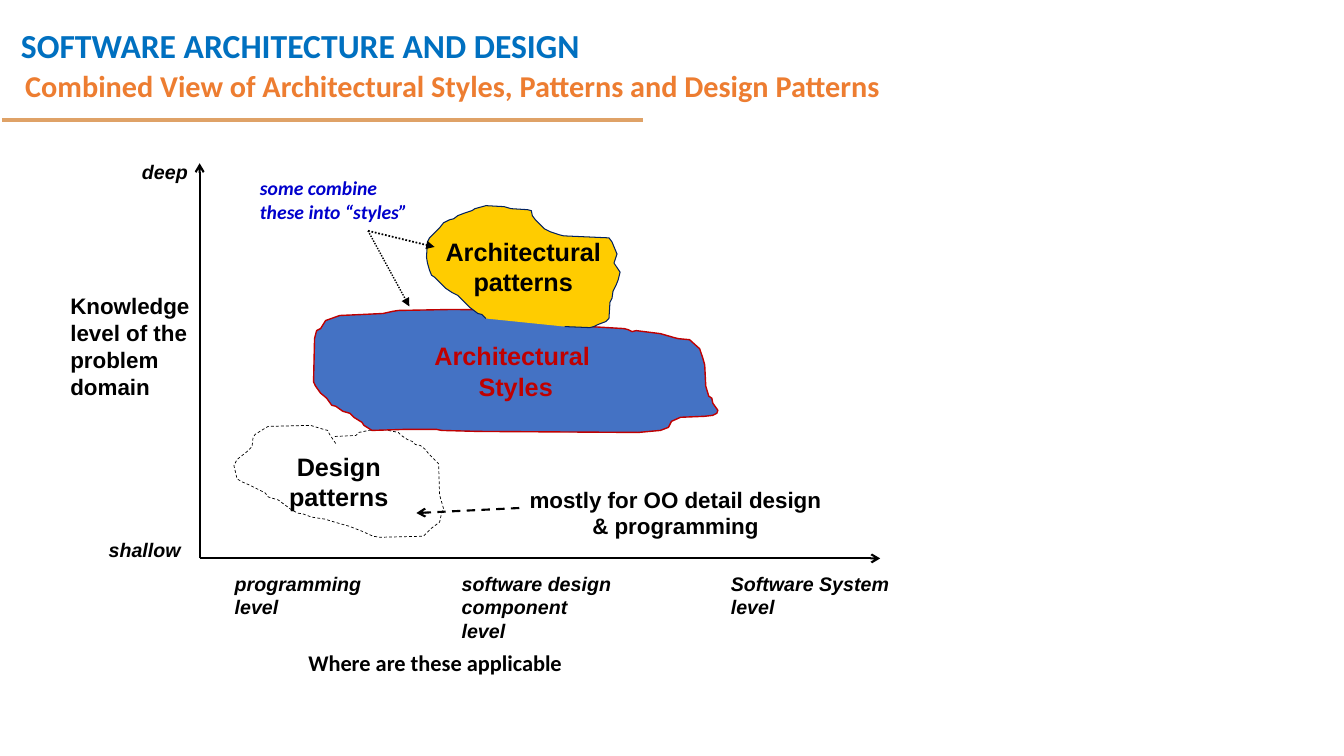
import pptx
import pptx.dml.color
import pptx.enum.dml
import pptx.enum.shapes
import pptx.enum.text
import pptx.oxml
import pptx.oxml.ns
import pptx.util

Inches = pptx.util.Inches
Align = pptx.enum.text.PP_ALIGN
Dash = pptx.enum.dml.MSO_LINE

DESIGN_OUTLINE = [
    (3.33, 4.4), (3.27, 4.31), (3.25, 4.27), (3.21, 4.26), (3.08, 4.22), (2.66, 4.23),
    (2.61, 4.26), (2.53, 4.31), (2.51, 4.34), (2.5, 4.43), (2.45, 4.48), (2.35, 4.56),
    (2.32, 4.62), (2.34, 4.7), (2.35, 4.75), (2.4, 4.78), (2.47, 4.81), (2.63, 4.89),
    (2.66, 4.93), (2.76, 4.96), (2.88, 5.05), (2.95, 5.09), (3.01, 5.1), (3.09, 5.13),
    (3.22, 5.15), (3.32, 5.18), (3.46, 5.22), (3.59, 5.27), (3.7, 5.32), (3.77, 5.33),
    (4.2, 5.32), (4.28, 5.24), (4.36, 5.18), (4.38, 5.09), (4.4, 5.05), (4.36, 4.91),
    (4.35, 4.6), (4.25, 4.5), (4.22, 4.46), (4.17, 4.42), (4.12, 4.41), (4.09, 4.38),
    (4.04, 4.36), (3.98, 4.32), (3.95, 4.29), (3.85, 4.27), (3.8, 4.26), (3.66, 4.27),
    (3.56, 4.29), (3.53, 4.32), (3.32, 4.33),
]
STYLES_OUTLINE = [
    (3.69, 4.27), (3.61, 4.22), (3.59, 4.19), (3.51, 4.14), (3.47, 4.1), (3.4, 4.08),
    (3.33, 4.03), (3.29, 4.02), (3.24, 3.95), (3.18, 3.9), (3.13, 3.83), (3.11, 3.79),
    (3.12, 3.36), (3.14, 3.28), (3.18, 3.26), (3.23, 3.18), (3.37, 3.13), (3.59, 3.12),
    (3.8, 3.11), (3.89, 3.09), (3.95, 3.08), (4.49, 3.07), (5.33, 3.08), (5.4, 3.09),
    (5.52, 3.12), (5.56, 3.14), (5.64, 3.17), (5.73, 3.21), (5.85, 3.24), (6.19, 3.26),
    (6.23, 3.27), (6.27, 3.29), (6.31, 3.28), (6.55, 3.31), (6.69, 3.35), (6.73, 3.36),
    (6.84, 3.37), (6.94, 3.46), (6.97, 3.55), (6.99, 3.62), (7, 3.83), (7.03, 3.93),
    (7.06, 3.95), (7.07, 4), (7.12, 4.07), (7.11, 4.1), (7.07, 4.12), (6.99, 4.13),
    (6.75, 4.14), (6.66, 4.18), (6.63, 4.24), (6.55, 4.27), (6.33, 4.29), (4.74, 4.28),
    (4.38, 4.27), (4.33, 4.26), (4.01, 4.26),
]
PATTERNS_OUTLINE = [
    (4.82, 3.16), (4.78, 3.12), (4.74, 3.11), (4.66, 3.05), (4.58, 2.97), (4.54, 2.93),
    (4.48, 2.9), (4.42, 2.86), (4.31, 2.75), (4.28, 2.73), (4.26, 2.68), (4.24, 2.61),
    (4.23, 2.55), (4.24, 2.4), (4.26, 2.36), (4.31, 2.31), (4.36, 2.26), (4.4, 2.21),
    (4.46, 2.18), (4.5, 2.17), (4.54, 2.14), (4.59, 2.12), (4.68, 2.09), (4.71, 2.07),
    (4.82, 2.04), (5, 2.05), (5.07, 2.07), (5.23, 2.08), (5.27, 2.09), (5.28, 2.14),
    (5.31, 2.18), (5.36, 2.23), (5.4, 2.27), (5.46, 2.3), (5.55, 2.33), (5.59, 2.34),
    (6.04, 2.36), (6.07, 2.4), (6.12, 2.52), (6.09, 2.61), (6.15, 2.7), (6.13, 2.78),
    (6.11, 2.83), (6.08, 2.89), (6.07, 2.96), (6.05, 3), (6.04, 3.16), (6.01, 3.19),
    (5.93, 3.22), (5.89, 3.24), (5.85, 3.25), (5.6, 3.24),
]


def color(value):
    """Turn a hex string into a colour."""
    return pptx.dml.color.RGBColor.from_string(value)


def write(frame, lines, size, ink="000000", font="Arial", italic=False, align=Align.LEFT):
    """Fill a text frame with bold lines, one paragraph each."""
    frame.text = "\n".join(lines)
    frame.word_wrap = True
    for para in frame.paragraphs:
        para.alignment = align
        for span in para.runs:
            span.font.name = font
            span.font.size = pptx.util.Pt(size)
            span.font.bold = True
            span.font.italic = italic
            span.font.color.rgb = color(ink)


def add_label(slide, place, lines, size, **style):
    """Add a text box at a place given in inches."""
    box = slide.shapes.add_textbox(*map(Inches, place))
    write(box.text_frame, lines, size, **style)
    return box


def add_line(slide, start, end, ink, width, dash=None, head=None):
    """Add a straight line, with an arrowhead at its end if one is named."""
    line = slide.shapes.add_connector(
        pptx.enum.shapes.MSO_CONNECTOR.STRAIGHT, *map(Inches, start + end))
    line.line.color.rgb = color(ink)
    line.line.width = pptx.util.Pt(width)
    if dash:
        line.line.dash_style = dash
    if head:
        tail = pptx.oxml.parse_xml(
            f'<a:tailEnd {pptx.oxml.ns.nsdecls("a")} type="{head}"/>')
        line.line._get_or_add_ln().append(tail)
    effects = pptx.oxml.parse_xml(f'<a:effectLst {pptx.oxml.ns.nsdecls("a")}/>')
    line._element.spPr.append(effects)


def add_blob(slide, outline, lines, ink, fill, edge, width, dash=None, close=False):
    """Add a free outline with centred text."""
    points = [(Inches(x), Inches(y)) for x, y in outline]
    builder = slide.shapes.build_freeform(*points[0])
    builder.add_line_segments(points[1:], close=close)
    blob = builder.convert_to_shape()
    blob.shadow.inherit = False
    if fill:
        blob.fill.solid()
        blob.fill.fore_color.rgb = color(fill)
    else:
        blob.fill.background()
    blob.line.color.rgb = color(edge)
    blob.line.width = pptx.util.Pt(width)
    if dash:
        blob.line.dash_style = dash
    write(blob.text_frame, lines, 18, ink=ink, align=Align.CENTER)
    blob.text_frame.vertical_anchor = pptx.enum.text.MSO_ANCHOR.MIDDLE


def add_headings(slide):
    """Add the course heading, the slide title and the rule below."""
    course = add_label(slide, (0.11, 0, 5.83, 0.64), ["SOFTWARE ARCHITECTURE AND DESIGN"],
                       24, ink="0070C0", font="Calibri")
    course.text_frame.paragraphs[0].line_spacing = 1.5
    add_line(slide, (0.02, 1.19), (6.38, 1.19), "DFA267", 3)
    title = slide.shapes.title
    title.left, title.top, title.width, title.height = map(Inches, (0.15, 0.57, 9.58, 0.61))
    write(title.text_frame,
          ["Combined View of Architectural Styles, Patterns and Design Patterns"],
          21.6, ink="ED7D31", font="Calibri")
    title.text_frame.vertical_anchor = pptx.enum.text.MSO_ANCHOR.MIDDLE
    title.text_frame.paragraphs[0].line_spacing = 0.9


def add_axes(slide):
    """Add both axes and their labels."""
    origin = (1.98, 5.54)
    for end in ((1.98, 1.62), (8.73, 5.54)):
        add_line(slide, origin, end, "000000", 1.5, head="arrow")
    add_label(slide, (0.6, 2.85, 1.46, 1.18),
              ["Knowledge", "level of the", "problem", "domain"], 16)
    for place, lines in (
        ((1.31, 1.54, 0.7, 0.34), ["deep"]),
        ((0.98, 5.29, 1, 0.34), ["shallow"]),
        ((2.23, 5.62, 1.5, 0.57), ["programming", "level"]),
        ((4.48, 5.62, 1.75, 0.81), ["software design", "component", "level"]),
        ((7.15, 5.62, 1.85, 0.57), ["Software System", "level"]),
    ):
        add_label(slide, place, lines, 14, italic=True)
    add_label(slide, (2.96, 6.39, 3.1, 0.37), ["Where are these applicable"], 16, font="Calibri")


def add_regions(slide):
    """Add the three regions of the map."""
    add_blob(slide, DESIGN_OUTLINE, ["Design", "patterns"],
             "000000", None, "000000", 0.5, dash=Dash.DASH)
    add_blob(slide, STYLES_OUTLINE, ["Architectural ", "Styles"],
             "C00000", "4472C4", "C00000", 1, close=True)
    add_blob(slide, PATTERNS_OUTLINE, ["Architectural", "patterns"],
             "000000", "FFCC00", "002060", 0.75)


def add_remarks(slide):
    """Add the remarks and the arrows to their regions."""
    add_line(slide, (5.15, 5.04), (4.13, 5.09), "000000", 1.5, Dash.DASH, "arrow")
    add_label(slide, (5.05, 4.77, 3.3, 0.64),
              ["mostly for OO detail design", "& programming"], 16, align=Align.CENTER)
    add_label(slide, (2.48, 1.7, 1.91, 0.57), ["some combine", "these into “styles”"],
              14, ink="0000CC", font="Calibri", italic=True)
    for end, width in (((4.31, 2.45), 1.25), ((4.06, 3.04), 1)):
        add_line(slide, (3.65, 2.29), end, "000000", width, Dash.ROUND_DOT, "triangle")


def main():
    """Build the slide and save the deck."""
    deck = pptx.Presentation()
    deck.slide_width, deck.slide_height = Inches(13.33), Inches(7.5)
    slide = deck.slides.add_slide(deck.slide_layouts[5])
    add_headings(slide)
    add_axes(slide)
    add_regions(slide)
    add_remarks(slide)
    deck.save("out.pptx")


if __name__ == "__main__":
    main()
